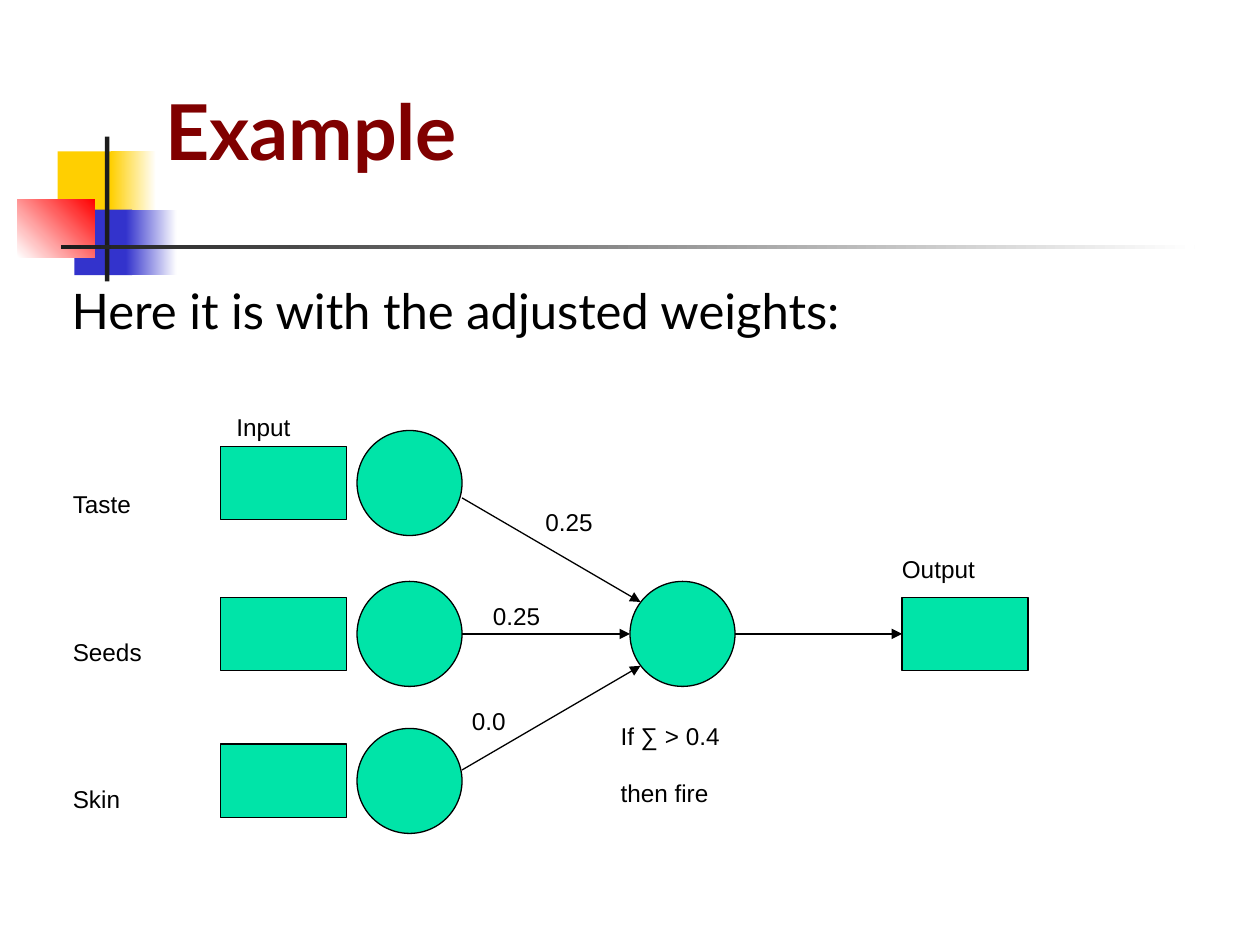
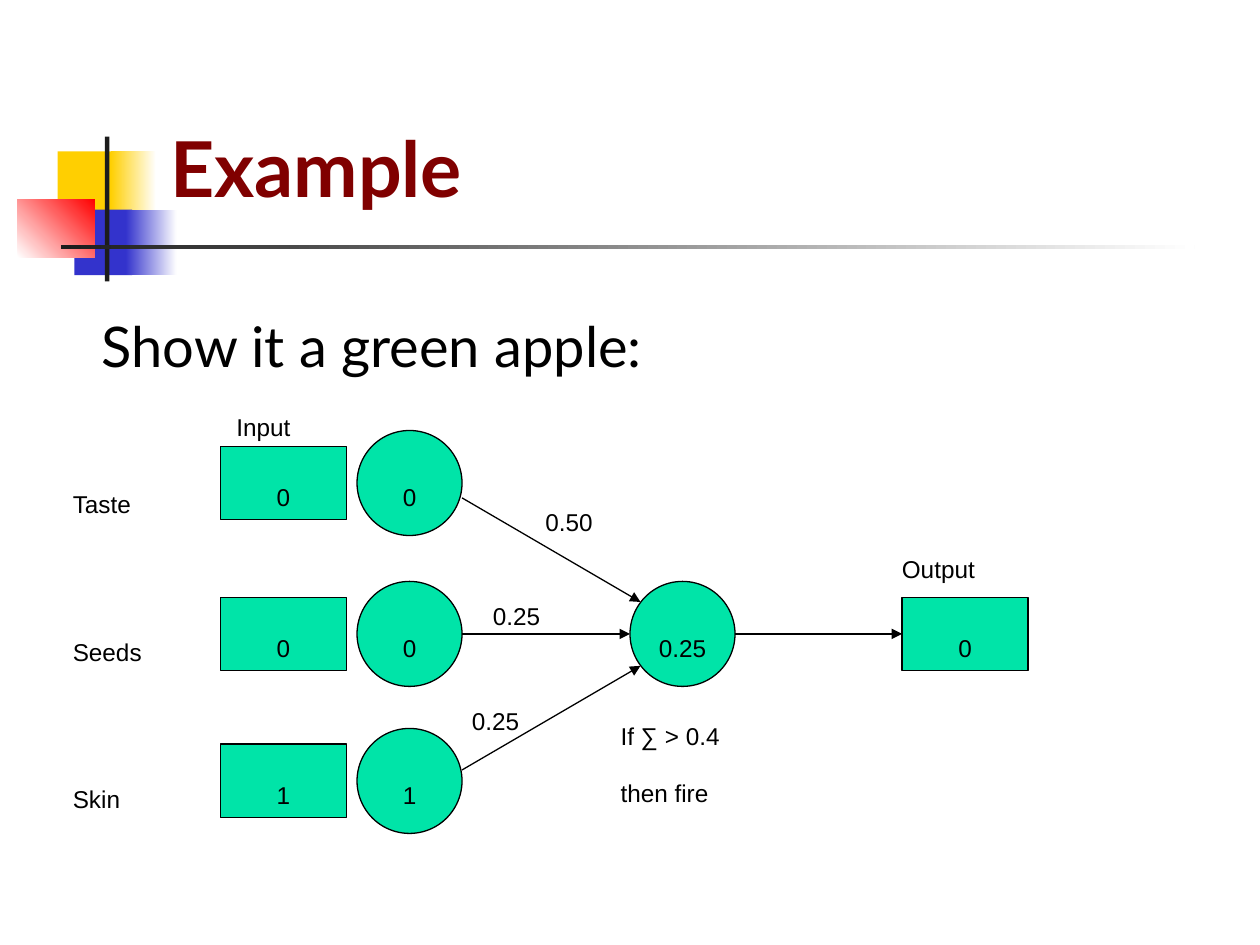
from pptx import Presentation
from pptx.util import Pt
from pptx.dml.color import RGBColor
from pptx.enum.shapes import MSO_SHAPE as Shape, MSO_CONNECTOR as Line
from pptx.enum.text import PP_ALIGN as Align, MSO_ANCHOR as Anchor
from pptx.oxml.ns import qn
from lxml.etree import SubElement as Sub

# Content: one entry per slide, places are (left, top, width, height)
SLIDES = [
    {"title": "Example", "place": (90.75, 16.5, 613.5, 115.25),
     "lead": "Here it is with the adjusted weights:", "spot": (41, 160.5), "size": 28,
     "weights": ["0.25", "0.25", "0.0"], "inputs": ["", "", ""], "sum": "", "out": ""},
    {"title": "Example", "place": (93.6, 37.5, 613.5, 115.25),
     "lead": "Show it a green apple:", "spot": (58, 178), "size": 32,
     "weights": ["0.50", "0.25", "0.25"], "inputs": ["0", "0", "1"],
     "sum": "0.25", "out": "0"},
]
LABELS = [
    (["Input"], 128, 216), (["Output"], 508.25, 296.75),
    (["Taste"], 34.5, 260), (["Seeds"], 34.5, 344.25), (["Skin"], 34.5, 428.5),
    (["If ∑ > 0.4", "then fire"], 347.5, 392.25),
]
SPOTS = [(304.5, 270), (274.5, 324), (262.5, 383.75)]  # weight labels

COLORS = {"title": "800000", "ink": "000000", "node": "00E4A8", "gold": "FFCF01",
          "blue": "3333CC", "red": "FF0000", "white": "FFFFFF", "bar": "1C1C1C"}
DECOR = [  # place, colours from start to end, angle
    ((33, 86.5, 34.5, 37.5), ["gold"], 0),
    ((63.25, 86.5, 26, 37.5), ["gold", "white"], 0),
    ((42.5, 119.75, 33, 37.5), ["blue"], 0),
    ((72, 119.75, 29, 37.5), ["blue", "white"], 0),
    ((10, 113.75, 44.25, 33.25), ["white", "red"], 45),
    ((60, 78, 2.5, 82.75), ["bar"], 0),
    ((34.75, 140, 648, 2.5), ["bar", "white"], 0),
]

# Network grid: rows are centre lines
ROWS = [276, 362.25, 446.25]
MID = ROWS[1]
DIAM, WIDE, HIGH = 60, 72, 42
BOX_X, CELL_X, HUB_X, OUT_X = 126, 204, 360, 515.5
EDGE = CELL_X + DIAM
ARROWS = [((EDGE, 284.5), (366, 344)), ((EDGE, MID), (HUB_X, MID)),
          ((EDGE, 440), (366, 380.5))]


def rgb(name):
    return RGBColor.from_string(COLORS[name])


def style(run, **look):
    look = {"name": "Arial", "size": Pt(24), "bold": False, **look}
    color = look.pop("color", "ink")
    for key, value in look.items():
        setattr(run.font, key, value)
    run.font.color.rgb = rgb(color)


def lower(run):
    style(run)
    run.font._element.set("baseline", "-25000")


def shape(slide, kind, place):
    item = slide.shapes.add_shape(kind, *map(Pt, place))
    item.shadow.inherit = False
    return item


def decor(slide):
    """Draw the corner blocks and rules, then move them to the shared layout."""
    for place, names, angle in DECOR:
        item = shape(slide, Shape.RECTANGLE, place)
        item.line.fill.background()
        if len(names) == 1:
            item.fill.solid()
            item.fill.fore_color.rgb = rgb(names[0])
        else:
            item.fill.gradient()
            item.fill.gradient_angle = angle
            for stop, name in zip(item.fill.gradient_stops, names):
                stop.color.rgb = rgb(name)
        slide.slide_layout.shapes.element.append(item.element)


def node(slide, kind, left, mid, wide, high, text):
    item = shape(slide, kind, (left, mid - high / 2, wide, high))
    item.fill.solid()
    item.fill.fore_color.rgb = rgb("node")
    item.line.color.rgb = rgb("ink")
    item.line.width = Pt(0.75)
    if text:
        frame = item.text_frame
        frame.word_wrap = False
        frame.vertical_anchor = Anchor.MIDDLE
        para = frame.paragraphs[0]
        para.alignment = Align.CENTER
        run = para.add_run()
        run.text = text
        lower(run)
    return item


def label(slide, lines, left, top):
    box = slide.shapes.add_textbox(Pt(left), Pt(top), Pt(98), Pt(36 * len(lines)))
    frame = box.text_frame
    frame.word_wrap = True
    frame.text = "\n".join(lines)
    for para in frame.paragraphs:
        lower(para.runs[0])


def arrow(slide, start, end):
    line = slide.shapes.add_connector(Line.STRAIGHT, *map(Pt, start + end))
    line.line.color.rgb = rgb("ink")
    line.line.width = Pt(0.75)
    Sub(line.line._get_or_add_ln(), qn("a:tailEnd"), type="triangle")
    Sub(line.element.spPr, qn("a:effectLst"))
    return line


def heading(slide, data):
    title = slide.shapes.title
    for key, value in zip(("left", "top", "width", "height"), data["place"]):
        setattr(title, key, Pt(value))
    frame = title.text_frame
    for side in ("left", "right", "top", "bottom"):
        setattr(frame, "margin_" + side, Pt(3.6))
    frame.vertical_anchor = Anchor.MIDDLE
    frame.text = data["title"]
    frame.paragraphs[0].alignment = Align.LEFT
    style(frame.paragraphs[0].runs[0], name="Lato", size=Pt(44), bold=True, color="title")

    # Lead sentence
    box = slide.shapes.add_textbox(*map(Pt, data["spot"]), Pt(600), Pt(40))
    frame = box.text_frame
    frame.word_wrap = True
    for side in ("left", "right", "top", "bottom"):
        setattr(frame, "margin_" + side, 0)
    frame.text = data["lead"]
    style(frame.paragraphs[0].runs[0], name="Lato", size=Pt(data["size"]))


def network(slide, data):
    for mid, text in zip(ROWS, data["inputs"]):
        node(slide, Shape.RECTANGLE, BOX_X, mid, WIDE, HIGH, text)
        node(slide, Shape.OVAL, CELL_X, mid, DIAM, DIAM, text)
    node(slide, Shape.OVAL, HUB_X, MID, DIAM, DIAM, data["sum"])
    out = node(slide, Shape.RECTANGLE, OUT_X, MID, WIDE, HIGH, data["out"])
    for start, end in ARROWS:
        arrow(slide, start, end)
    arrow(slide, (HUB_X + DIAM, MID), (OUT_X, MID)).end_connect(out, 1)
    for text, spot in zip(data["weights"], SPOTS):
        label(slide, [text], *spot)
    for lines, left, top in LABELS:
        label(slide, lines, left, top)


def main():
    deck = Presentation()
    deck.slide_width, deck.slide_height = Pt(720), Pt(540)
    layout = deck.slide_layouts[5]
    for index, data in enumerate(SLIDES):
        slide = deck.slides.add_slide(layout)
        if index == 0:
            decor(slide)
        heading(slide, data)
        network(slide, data)
    deck.save("out.pptx")


if __name__ == "__main__":
    main()
